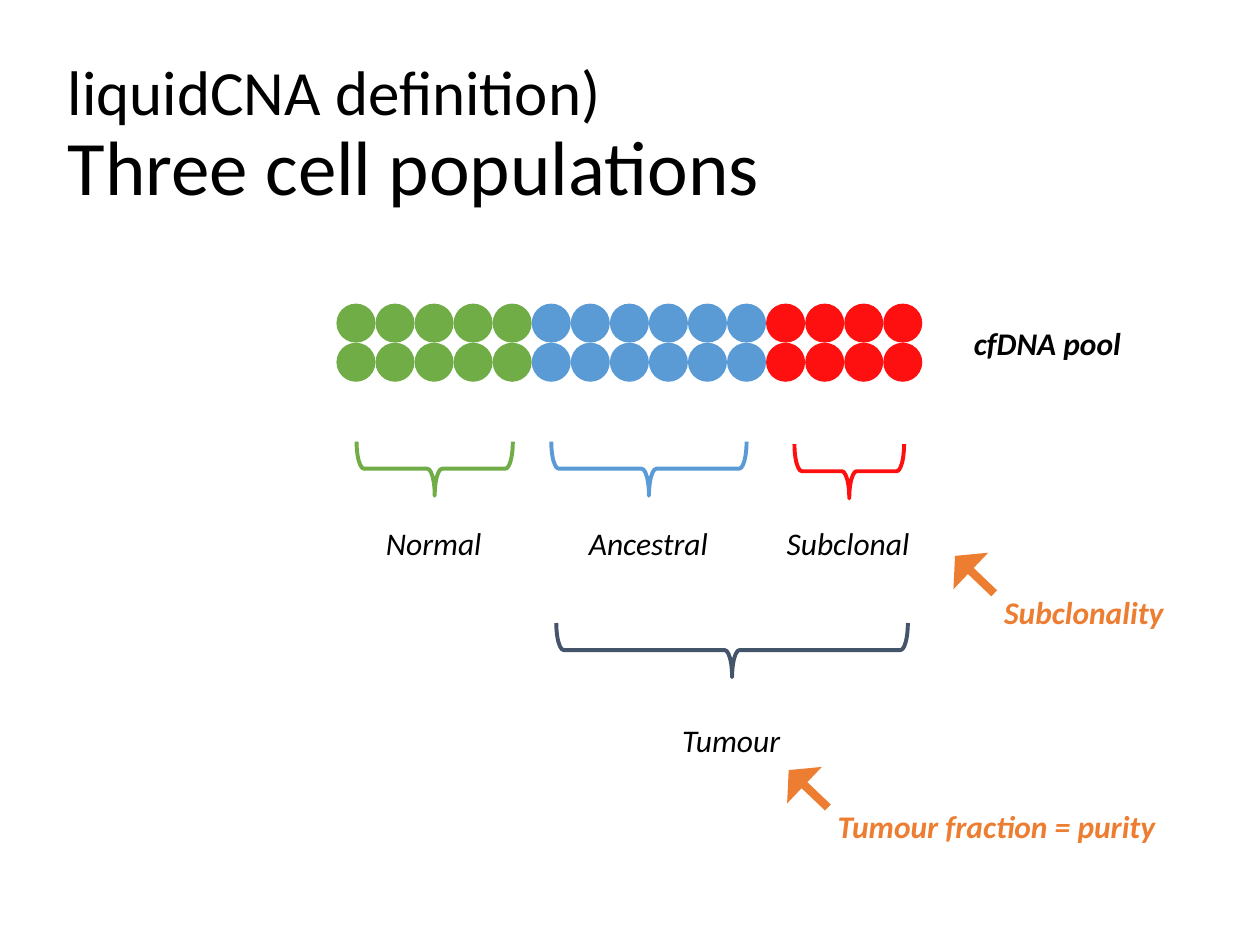
from pptx import Presentation
from pptx.dml.color import RGBColor
from pptx.enum.shapes import MSO_SHAPE
from pptx.enum.text import MSO_ANCHOR, MSO_AUTO_SIZE
from pptx.util import Inches, Pt

CIRCLE, BRACE, ARROW = MSO_SHAPE.OVAL, MSO_SHAPE.RIGHT_BRACE, MSO_SHAPE.RIGHT_ARROW
MIDDLE, FIT_SHAPE = MSO_ANCHOR.MIDDLE, MSO_AUTO_SIZE.SHAPE_TO_FIT_TEXT

# Content
TITLE = [("liquidCNA definition)", "subtitle"), ("Three cell populations", "title")]
POOL_LABEL = ("cfDNA pool", 7.63, 2.52, 1.38)
# name, colour, columns of cells, brace (centre x, centre y, span), label width
POPULATIONS = [
    ("Normal", "normal", 5, (3.45, 3.72, 1.24), 0.97),
    ("Ancestral", "ancestral", 6, (5.15, 3.72, 1.55), 1.15),
    ("Subclonal", "subclonal", 4, (6.74, 3.74, 0.87), 1.19),
]
TUMOUR = ("Tumour", "tumour", (5.81, 5.16, 2.79), 0.99)
# text, arrow left, arrow top, text width
MEASURES = [
    ("Tumour fraction = purity", 6.2, 6.06, 2.76),
    ("Subclonality", 7.52, 4.36, 1.48),
]

THEME = {
    "font": "Calibri",
    "colours": {
        "text": "000000", "normal": "70AD47", "ancestral": "5B9BD5",
        "subclonal": "FE0F10", "tumour": "44546A", "measure": "ED7D31",
    },
    "sizes": {"title": 44, "subtitle": 36, "label": 18},
    "brace_line": 2.25,
}

# Layout
CELL = 0.31
CELL_LEFT, CELL_TOP, CELL_ROWS = 2.67, 2.41, 2
BRACE_DEPTH = 0.43
LABEL_HEIGHT, LABEL_TOP, TUMOUR_TOP = 0.4, 4.11, 5.67
ARROW_SIZE, ARROW_ANGLE = (0.43, 0.4), 223.6
MEASURE_OFFSET = (0.35, 0.3)


def colour(name):
    return RGBColor.from_string(THEME["colours"][name])


def add_span(para, text, size="label", colour_name="text", **styles):
    span = para.add_run()
    span.text = text
    formats = {"name": THEME["font"], "size": Pt(THEME["sizes"][size]), **styles}
    for key, value in formats.items():
        setattr(span.font, key, value)
    span.font.color.rgb = colour(colour_name)


def add_shape(shapes, kind, left, top, width, height, adjustments=()):
    shape = shapes.add_shape(kind, Inches(left), Inches(top), Inches(width), Inches(height))
    shape.shadow.inherit = False
    for index, value in enumerate(adjustments):
        shape.adjustments[index] = value
    return shape


def add_filled(shapes, kind, colour_name, *place, adjustments=()):
    shape = add_shape(shapes, kind, *place, adjustments=adjustments)
    shape.fill.solid()
    shape.fill.fore_color.rgb = colour(colour_name)
    shape.line.fill.background()
    return shape


def add_brace(shapes, colour_name, centre_x, centre_y, span):
    brace = add_shape(shapes, BRACE, centre_x - BRACE_DEPTH / 2, centre_y - span / 2,
                      BRACE_DEPTH, span, (0.136, 0.5))
    brace.rotation = 90
    brace.fill.background()
    brace.line.color.rgb = colour(colour_name)
    brace.line.width = Pt(THEME["brace_line"])


def add_label(shapes, text, left, top, width, **styles):
    box = shapes.add_textbox(Inches(left), Inches(top), Inches(width), Inches(LABEL_HEIGHT))
    box.text_frame.word_wrap = False
    box.text_frame.auto_size = FIT_SHAPE
    add_span(box.text_frame.paragraphs[0], text, italic=True, **styles)


def add_title(shapes):
    box = shapes.add_textbox(Inches(0.44), Inches(0.36), Inches(9.13), Inches(1.45))
    box.text_frame.word_wrap = True
    box.text_frame.vertical_anchor = MIDDLE
    para = box.text_frame.paragraphs[0]
    para.line_spacing = 0.9
    for index, (text, size) in enumerate(TITLE):
        if index:
            para.add_line_break()
        add_span(para, text, size)


def add_population(page, first_column, name, colour_name, columns, brace, label_width):
    group = page.shapes.add_group_shape().shapes
    for row in range(CELL_ROWS):
        for column in range(first_column, first_column + columns):
            add_filled(group, CIRCLE, colour_name, CELL_LEFT + column * CELL,
                       CELL_TOP + row * CELL, CELL, CELL)
    add_brace(group, colour_name, *brace)
    add_label(group, name, brace[0] - label_width / 2, LABEL_TOP, label_width)


def add_measure(page, text, left, top, width):
    group = page.shapes.add_group_shape().shapes
    arrow = add_filled(group, ARROW, "measure", left, top, *ARROW_SIZE,
                       adjustments=(0.166, 0.433))
    arrow.rotation = ARROW_ANGLE
    add_label(group, text, left + MEASURE_OFFSET[0], top + MEASURE_OFFSET[1], width,
              colour_name="measure", bold=True)


def main():
    deck = Presentation()
    deck.slide_width, deck.slide_height = Inches(10), Inches(7.5)
    page = deck.slides.add_slide(deck.slide_layouts[6])

    # Heading and pool label
    add_title(page.shapes)
    add_label(page.shapes, *POOL_LABEL, bold=True)

    # Cells, brace and name of each population
    first_column = 0
    for population in POPULATIONS:
        add_population(page, first_column, *population)
        first_column += population[2]

    # Tumour as the sum of two populations
    name, colour_name, brace, label_width = TUMOUR
    add_brace(page.shapes, colour_name, *brace)
    add_label(page.shapes, name, brace[0] - label_width / 2, TUMOUR_TOP, label_width)

    # Measures with arrows
    for measure in MEASURES:
        add_measure(page, *measure)

    deck.save("out.pptx")


if __name__ == "__main__":
    main()
